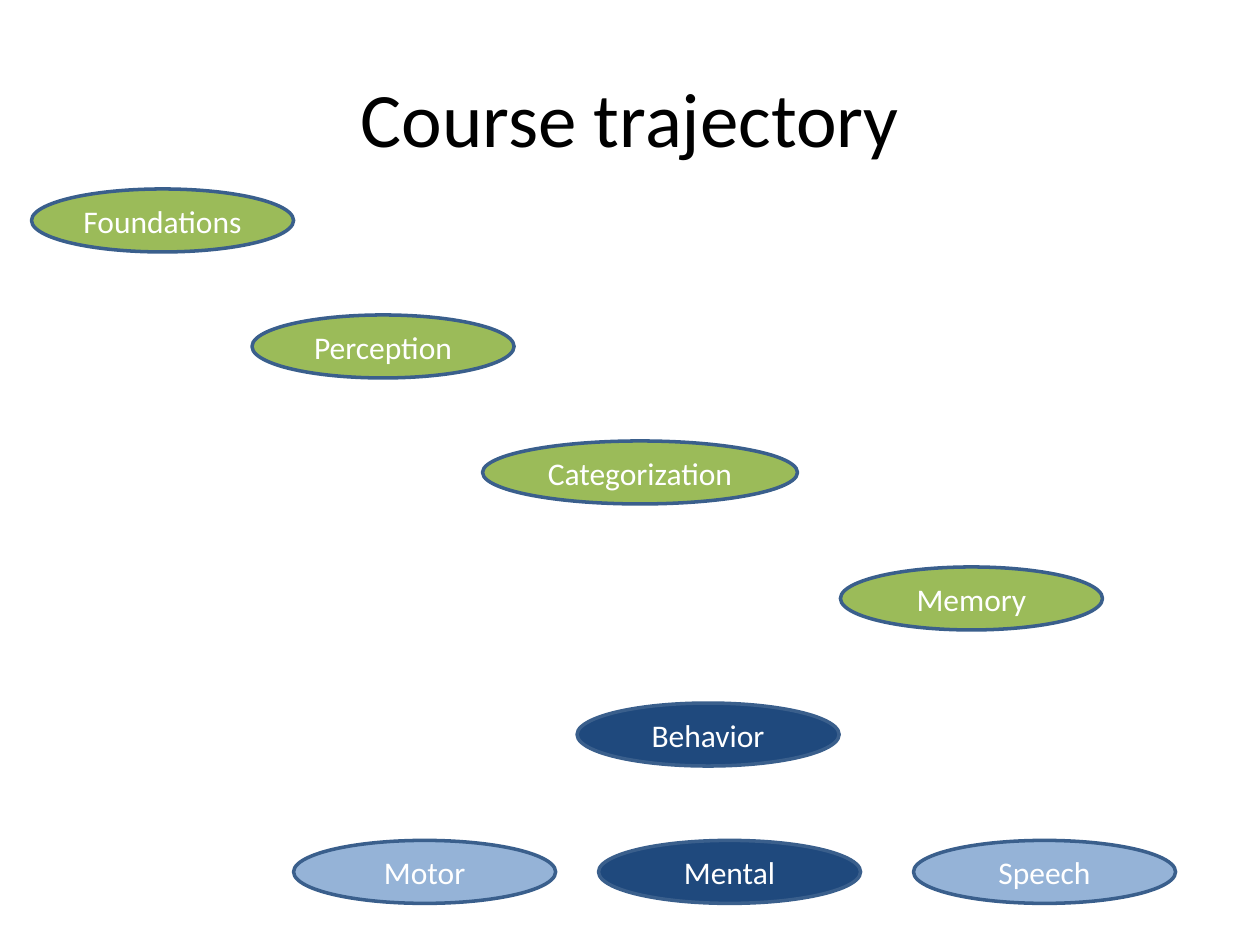
import pptx
import pptx.dml.color
import pptx.enum.shapes
import pptx.enum.text
import pptx.util
from pptx.util import Inches


def color(hex_value):
    return pptx.dml.color.RGBColor.from_string(hex_value)


def write_text(shape, text, size, hex_value):
    text_frame = shape.text_frame
    text_frame.text = text
    text_frame.word_wrap = True
    text_frame.vertical_anchor = pptx.enum.text.MSO_ANCHOR.MIDDLE
    paragraph = text_frame.paragraphs[0]
    paragraph.alignment = pptx.enum.text.PP_ALIGN.CENTER
    font = paragraph.runs[0].font
    font.name = "Calibri"
    font.size = pptx.util.Pt(size)
    font.color.rgb = color(hex_value)


GREEN = "9BBB59"
NAVY = "1F497D"
LIGHT_BLUE = "95B3D7"
OUTLINE = "3A5F8C"
TOPIC_WIDTH = 2.08
TOPIC_HEIGHT = 0.5

presentation = pptx.Presentation()
presentation.slide_width = Inches(10)
presentation.slide_height = Inches(7.5)
slide = presentation.slides.add_slide(presentation.slide_layouts[5])

title = slide.shapes.title
title.left, title.top = Inches(0.5), Inches(0.3)
title.width, title.height = Inches(9), Inches(1.25)
write_text(title, "Course trajectory", 44, "000000")

topics = [
    ("Foundations", 0.25, 1.5, TOPIC_WIDTH, GREEN),
    ("Perception", 2, 2.5, TOPIC_WIDTH, GREEN),
    ("Categorization", 3.83, 3.5, 2.5, GREEN),
    ("Memory", 6.67, 4.5, TOPIC_WIDTH, GREEN),
    ("Behavior", 4.58, 5.58, TOPIC_WIDTH, NAVY),
    ("Motor", 2.33, 6.67, TOPIC_WIDTH, LIGHT_BLUE),
    ("Mental", 4.75, 6.67, TOPIC_WIDTH, NAVY),
    ("Speech", 7.25, 6.67, TOPIC_WIDTH, LIGHT_BLUE),
]

for name, left, top, width, fill in topics:
    ellipse = slide.shapes.add_shape(
        pptx.enum.shapes.MSO_SHAPE.OVAL,
        Inches(left), Inches(top), Inches(width), Inches(TOPIC_HEIGHT),
    )
    ellipse.shadow.inherit = False
    ellipse.fill.solid()
    ellipse.fill.fore_color.rgb = color(fill)
    ellipse.line.color.rgb = color(OUTLINE)
    ellipse.line.width = pptx.util.Pt(2)
    write_text(ellipse, name, 18, "FFFFFF")

presentation.save("out.pptx")
